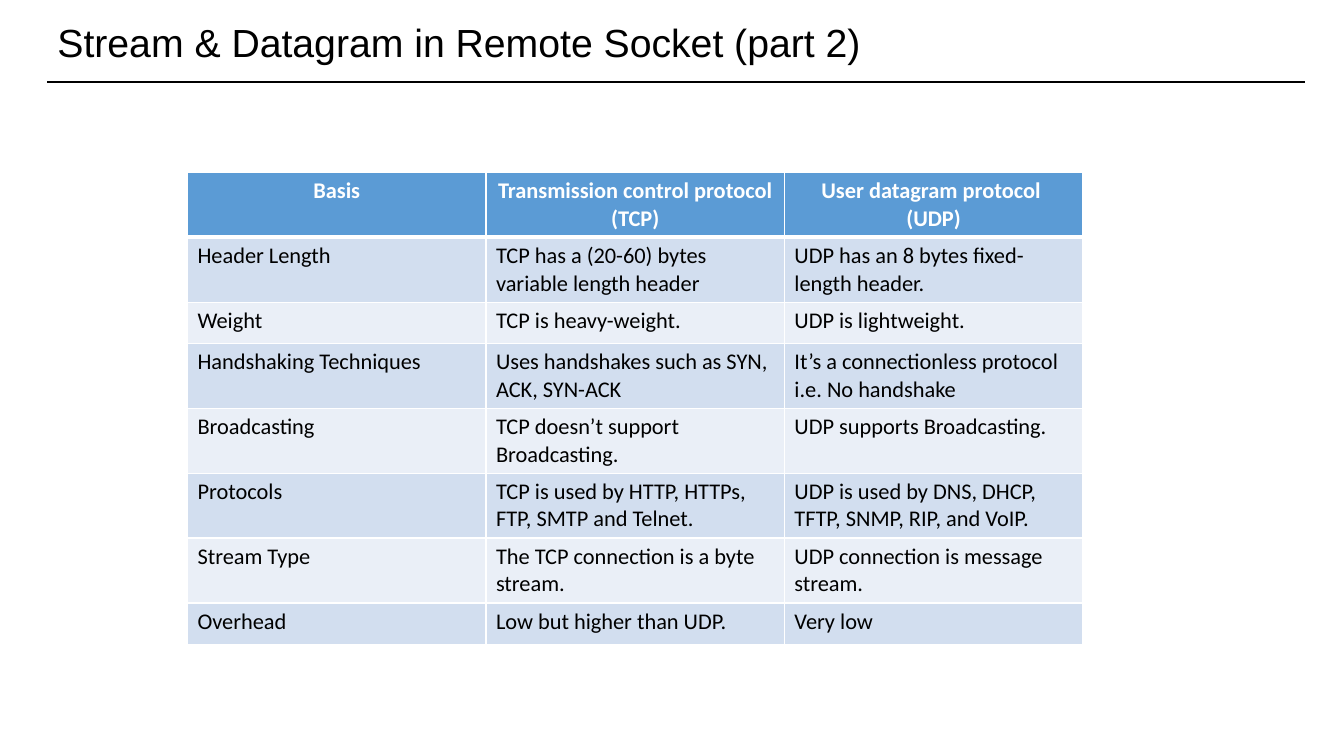
from lxml import etree
from pptx import Presentation
from pptx.dml.color import RGBColor
from pptx.enum import shapes, text
from pptx.oxml import ns
from pptx.util import Inches, Pt

TITLE = "Stream & Datagram in Remote Socket (part 2)"
ROWS = [
    ("Basis", "Transmission control protocol (TCP)", "User datagram protocol \n(UDP)"),
    ("Header Length", "TCP has a (20-60) bytes variable length header",
     "UDP has an 8 bytes fixed-length header."),
    ("Weight", "TCP is heavy-weight.", "UDP is lightweight."),
    ("Handshaking Techniques", "Uses handshakes such as SYN, ACK, SYN-ACK",
     "It’s a connectionless protocol i.e. No handshake"),
    ("Broadcasting", "TCP doesn’t support Broadcasting.", "UDP supports Broadcasting."),
    ("Protocols", "TCP is used by HTTP, HTTPs, FTP, SMTP and Telnet.",
     "UDP is used by DNS, DHCP, TFTP, SNMP, RIP, and VoIP."),
    ("Stream Type", "The TCP connection is a byte stream.", "UDP connection is message stream."),
    ("Overhead", "Low but higher than UDP.", "Very low"),
]

BLACK = RGBColor(0x00, 0x00, 0x00)
WHITE = RGBColor(0xFF, 0xFF, 0xFF)
BLUE = RGBColor(0x5B, 0x9B, 0xD5)
BANDS = [RGBColor(0xEA, 0xEF, 0xF7), RGBColor(0xD2, 0xDE, 0xEF)]

LEFT, RULE_Y, WIDTH = 0.47, 0.81, 12.47
COL_W, ROW_H = 2.96, 0.41


def write(tf, content, size, font="Calibri", color=BLACK, bold=False,
          align=text.PP_ALIGN.LEFT, spacing=None):
    """Fill a text frame, one paragraph per line of content."""
    for i, line in enumerate(content.split("\n")):
        p = tf.add_paragraph() if i else tf.paragraphs[0]
        p.alignment = align
        p.line_spacing = spacing
        r = p.add_run()
        r.text = line
        r.font.size, r.font.name, r.font.bold = Pt(size), font, bold
        r.font.color.rgb = color


def set_borders(cell, top, bottom):
    """Draw white borders on the four sides of a cell."""
    tc_pr = cell._tc.get_or_add_tcPr()
    for side, width in (("L", 1), ("R", 1), ("T", top), ("B", bottom)):
        ln = etree.SubElement(tc_pr, ns.qn(f"a:ln{side}"), w=str(Pt(width)))
        fill = etree.SubElement(ln, ns.qn("a:solidFill"))
        etree.SubElement(fill, ns.qn("a:srgbClr"), val=str(WHITE))


def add_title(s):
    """Place the title and the rule below it."""
    sp = s.shapes.title
    sp.left, sp.top = Inches(LEFT), Inches(0.08)
    sp.width, sp.height = Inches(WIDTH), Inches(RULE_Y - 0.08)
    sp.text_frame.vertical_anchor = text.MSO_ANCHOR.MIDDLE
    write(sp.text_frame, TITLE, 28, font="Arial", spacing=0.9)
    rule = s.shapes.add_connector(shapes.MSO_CONNECTOR.STRAIGHT, Inches(LEFT),
                                  Inches(RULE_Y), Inches(LEFT + WIDTH), Inches(RULE_Y))
    rule.line.color.rgb = BLACK
    rule.line.width = Pt(1.5)
    etree.SubElement(rule._element.spPr, ns.qn("a:effectLst"))


def add_comparison(s):
    """Add the table that compares the two protocols."""
    cols = len(ROWS[0])
    table = s.shapes.add_table(len(ROWS), cols, Inches(1.86), Inches(1.71),
                               Inches(COL_W * cols), Inches(ROW_H * len(ROWS))).table
    for i, row in enumerate(ROWS):
        head = i == 0
        for j, content in enumerate(row):
            cell = table.cell(i, j)
            set_borders(cell, top=3 if i == 1 else 1, bottom=3 if head else 1)
            cell.fill.solid()
            cell.fill.fore_color.rgb = BLUE if head else BANDS[i % 2]
            write(cell.text_frame, content, 16, bold=head,
                  color=WHITE if head else BLACK,
                  align=text.PP_ALIGN.CENTER if head else text.PP_ALIGN.LEFT)


def main():
    """Build and save the slide."""
    prs = Presentation()
    prs.slide_width, prs.slide_height = Inches(13.33), Inches(7.5)
    s = prs.slides.add_slide(prs.slide_layouts[5])
    add_title(s)
    add_comparison(s)
    prs.save("out.pptx")


if __name__ == "__main__":
    main()
